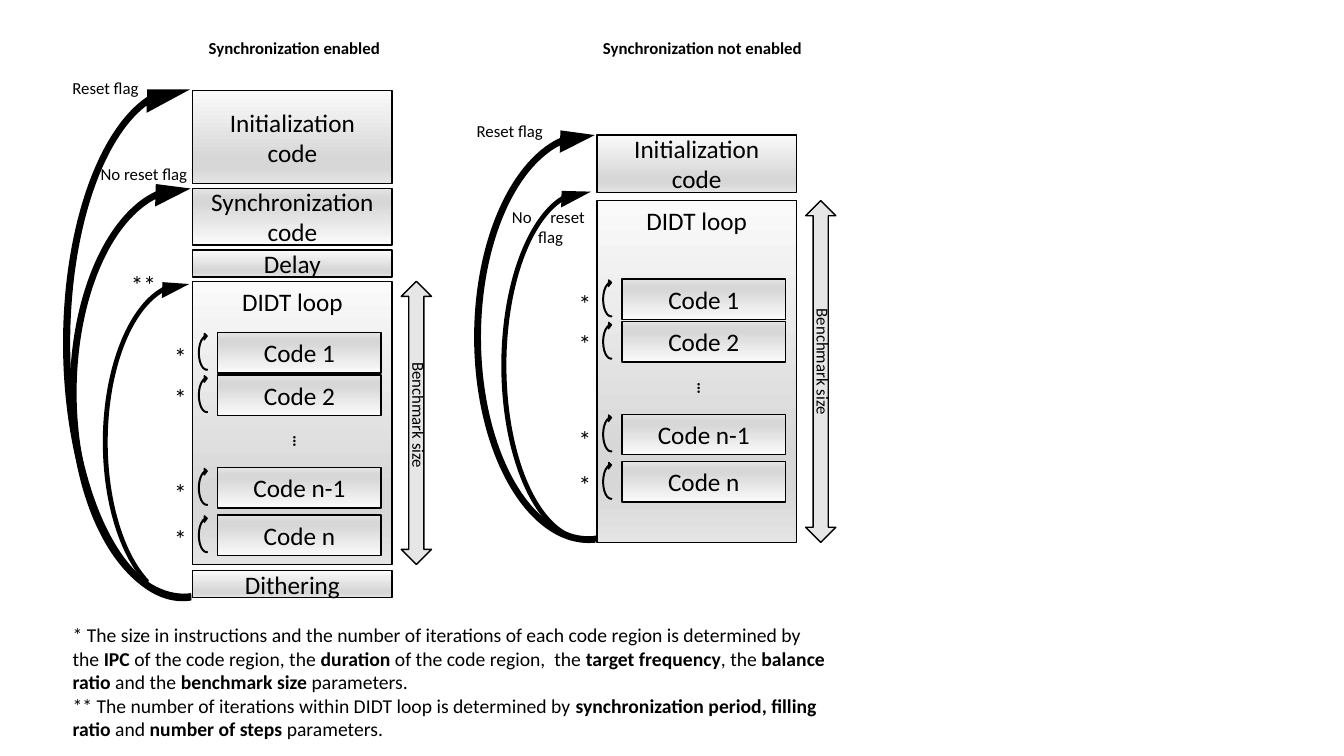
from dataclasses import dataclass
from typing import NamedTuple

from lxml.etree import SubElement
from pptx import Presentation
from pptx.dml.color import RGBColor
from pptx.enum.shapes import MSO_SHAPE
from pptx.enum.text import MSO_ANCHOR, MSO_AUTO_SIZE, PP_ALIGN
from pptx.oxml.ns import qn
from pptx.util import Inches, Pt


@dataclass(frozen=True)
class Theme:
    font: str = "Calibri"
    ink: str = "000000"
    pale: str = "E7E6E6"
    gradient: tuple = ((0, "FAFAFA"), (74, "D7D7D7"), (83, "D7D7D7"), (100, "E4E4E4"))
    box_size: int = 18
    note_size: int = 14
    label_size: int = 12
    line_width: int = 1


class Frame(NamedTuple):
    left: float
    top: float
    width: float
    height: float

    def lengths(self) -> list:
        return [Inches(value) for value in self]


class Box(NamedTuple):
    text: str
    top: float
    height: float
    light_end: str = "top"
    anchor: MSO_ANCHOR = MSO_ANCHOR.MIDDLE


class Loop(NamedTuple):
    frame: Frame
    start: float = 106.837


class Code(NamedTuple):
    text: str
    offset: float
    star_offset: float


class Label(NamedTuple):
    text: str
    frame: Frame
    size: int


class Panel(NamedTuple):
    left: float
    codes_top: float
    boxes: list
    loops: list
    labels: list
    late_boxes: list


THEME = Theme()
BOX_WIDTH = 1.98

CODES = [
    Code("Code 1", 0, 0.04),
    Code("Code 2", 0.42, 0.44),
    Code("Code n-1", 1.34, 1.39),
    Code("Code n", 1.81, 1.84),
]

ENABLED = Panel(
    left=1.91,
    codes_top=3.3,
    boxes=[
        Box("Initialization code", 0.9, 0.92),
        Box("Synchronization code", 1.87, 0.56, "bottom"),
        Box("DIDT loop", 2.79, 2.81, anchor=MSO_ANCHOR.TOP),
    ],
    loops=[
        Loop(Frame(-0.83, 2.14, 5.28, 2.53)),
        Loop(Frame(-0.31, 2.68, 4.28, 2.43)),
        Loop(Frame(0.18, 3.52, 3.3, 1.73), 116.669),
    ],
    labels=[
        Label("Reset flag", Frame(0.62, 0.72, 0.87, 0.3), THEME.label_size),
        Label("No reset flag", Frame(0.9, 1.58, 1.07, 0.3), THEME.label_size),
        Label("**", Frame(1.2, 2.62, 0.45, 0.4), THEME.box_size),
    ],
    late_boxes=[Box("Delay", 2.48, 0.27), Box("Dithering", 5.66, 0.27)],
)
NOT_ENABLED = Panel(
    left=5.92,
    codes_top=2.77,
    boxes=[
        Box("Initialization code", 1.34, 0.57),
        Box("DIDT loop", 1.99, 3.39, anchor=MSO_ANCHOR.TOP),
    ],
    loops=[
        Loop(Frame(3.72, 2.13, 4.24, 2.43)),
        Loop(Frame(4, 2.73, 3.62, 1.79), 105.83),
    ],
    labels=[Label("Reset flag", Frame(4.63, 1.15, 0.87, 0.3), THEME.label_size)],
    late_boxes=[],
)

# Footnote pieces alternate between regular and bold
FOOTNOTES = [
    ["* The size in instructions and the number of iterations of each code region "
     "is determined by the ", "IPC", " of the code region, the ", "duration",
     " of the code region,  the ", "target frequency", ", the ", "balance ratio ",
     "and the ", "benchmark size ", "parameters. "],
    ["** The number of iterations within DIDT loop is determined by ",
     "synchronization period, filling ratio", " and ", "number of steps ", "parameters. "],
]


def style_text(shape, size: int, bold: bool = False, align=PP_ALIGN.LEFT) -> None:
    for paragraph in shape.text_frame.paragraphs:
        paragraph.alignment = align
        for run in paragraph.runs:
            run.font.name, run.font.size, run.font.bold = THEME.font, Pt(size), bold
            run.font.color.rgb = RGBColor.from_string(THEME.ink)


def add_plain(kind: MSO_SHAPE, frame: Frame, color: str, outlined: bool = True):
    shape = slide.shapes.add_shape(kind, *frame.lengths())
    shape.shadow.inherit = False
    shape.fill.solid()
    shape.fill.fore_color.rgb = RGBColor.from_string(color)
    if outlined:
        shape.line.color.rgb = RGBColor.from_string(THEME.ink)
        shape.line.width = Pt(THEME.line_width)
    else:
        shape.line.fill.background()
    return shape


def add_box(box: Box, left: float, width: float = BOX_WIDTH) -> None:
    shape = add_plain(MSO_SHAPE.RECTANGLE, Frame(left, box.top, width, box.height), THEME.pale)
    shape.fill.gradient()
    shape.fill.gradient_angle = 270 if box.light_end == "top" else 90
    stops = shape.element.spPr.find(qn("a:gradFill")).find(qn("a:gsLst"))
    for stop in list(stops):
        stops.remove(stop)
    for position, color in THEME.gradient:
        stop = SubElement(stops, qn("a:gs"), pos=str(position * 1000))
        SubElement(stop, qn("a:srgbClr"), val=color)
    shape.text_frame.text = box.text
    shape.text_frame.word_wrap = True
    shape.text_frame.vertical_anchor = box.anchor
    style_text(shape, THEME.box_size, align=PP_ALIGN.CENTER)


def add_loop(loop: Loop, thickness: float = 0.046, outlined: bool = False) -> None:
    shape = add_plain(MSO_SHAPE.CIRCULAR_ARROW, loop.frame, THEME.ink, outlined)
    shape.rotation = 270
    for index, value in enumerate((0.028, 6.04, 210.989, loop.start, thickness)):
        shape.adjustments[index] = value


def add_label(label: Label, rotation: int = 0, wrap: bool = False, bold: bool = False,
              align=PP_ALIGN.LEFT):
    shape = slide.shapes.add_textbox(*label.frame.lengths())
    shape.rotation = rotation
    shape.text_frame.text = label.text
    shape.text_frame.word_wrap = wrap
    shape.text_frame.auto_size = MSO_AUTO_SIZE.SHAPE_TO_FIT_TEXT
    style_text(shape, label.size, bold, align)
    return shape


def place_body(shape, frame: Frame, wrap: bool) -> None:
    shape.left, shape.top, shape.width, shape.height = frame.lengths()
    shape.text_frame.word_wrap = wrap
    shape.text_frame.auto_size = MSO_AUTO_SIZE.SHAPE_TO_FIT_TEXT
    shape.text_frame.vertical_anchor = MSO_ANCHOR.TOP
    for paragraph in shape.text_frame.paragraphs:
        paragraph.space_before = Pt(0)
        properties = paragraph._p.get_or_add_pPr()
        properties.set("marL", "0")
        properties.set("indent", "0")
        SubElement(properties, qn("a:buNone"))


def draw_panel(panel: Panel) -> None:
    left, top = panel.left, panel.codes_top
    didt = panel.boxes[-1]
    add_plain(MSO_SHAPE.UP_DOWN_ARROW, Frame(left + 2.07, didt.top, 0.3, didt.height), THEME.pale)
    for box in panel.boxes:
        add_box(box, left)
    for loop in panel.loops:
        add_loop(loop)
    for code in CODES:
        add_box(Box(code.text, top + code.offset, 0.4, "bottom", MSO_ANCHOR.TOP), left + 0.25, 1.62)
        add_loop(Loop(Frame(left - 0.06, top + code.offset + 0.09, 0.4, 0.22)), 0.145, True)
        star = Frame(left - 0.28, top + code.star_offset, 0.33, 0.4)
        add_label(Label("*", star, THEME.box_size))
    for label in panel.labels:
        add_label(label)
    benchmark = Frame(left + 1.61, top + 0.68, 1.27, 0.3)
    add_label(Label("Benchmark size", benchmark, THEME.label_size), rotation=90)
    dots = Frame(left + 0.14, top + 0.93, 1.85, 0.3)
    add_label(Label("…", dots, THEME.label_size), 90, True, True, PP_ALIGN.CENTER)
    for box in panel.late_boxes:
        add_box(box, left)


presentation = Presentation()
presentation.slide_width, presentation.slide_height = Inches(13.33), Inches(7.5)
slide = presentation.slides.add_slide(presentation.slide_layouts[4])
title, left_heading, footnotes, right_heading, spare = slide.placeholders
for unused in (title, spare):
    unused.element.getparent().remove(unused.element)

# Headings
for heading, text, frame in (
    (left_heading, "Synchronization enabled", Frame(1.97, 0.32, 1.92, 0.3)),
    (right_heading, "Synchronization not enabled", Frame(5.88, 0.32, 2.2, 0.3)),
):
    heading.text_frame.text = text
    place_body(heading, frame, wrap=False)
    style_text(heading, THEME.label_size, bold=True)

# Diagrams
for panel in (ENABLED, NOT_ENABLED):
    draw_panel(panel)

# Label split around the inner loop
split = Label("No\treset\nflag", Frame(4.98, 2, 1.27, 0.5), THEME.label_size)
first, second = add_label(split, wrap=True).text_frame.paragraphs
tabs = SubElement(first._p.get_or_add_pPr(), qn("a:tabLst"))
SubElement(tabs, qn("a:tab"), pos=str(Inches(0.38)), algn="l")
second._p.get_or_add_pPr().set("marL", str(Inches(0.26)))

# Footnotes
footnotes.text_frame.text = "\n".join("" for _ in FOOTNOTES)
for paragraph, pieces in zip(footnotes.text_frame.paragraphs, FOOTNOTES):
    for piece in pieces:
        paragraph.add_run().text = piece
place_body(footnotes, Frame(0.62, 6.13, 7.7, 1.28), wrap=True)
style_text(footnotes, THEME.note_size)
for paragraph in footnotes.text_frame.paragraphs:
    for run in paragraph.runs[1::2]:
        run.font.bold = True

presentation.save("out.pptx")
